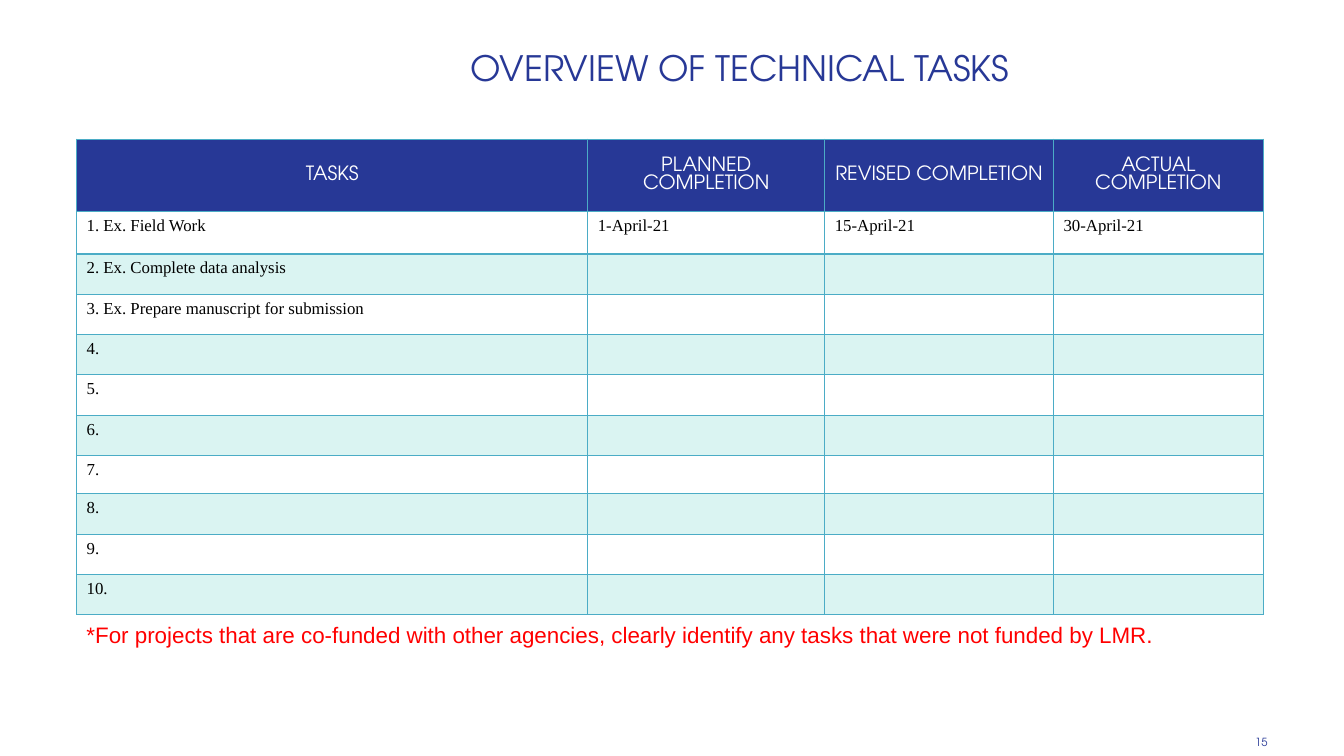
from lxml.etree import SubElement
from pptx import Presentation
from pptx.dml.color import RGBColor
from pptx.enum.text import MSO_ANCHOR as Anchor, PP_ALIGN as Align
from pptx.oxml.ns import qn
from pptx.util import Inches, Pt

COLORS = {"navy": "273896", "white": "FFFFFF", "band": "DAF4F2",
          "border": "4BACC6", "black": "000000", "red": "FF0000"}
HEADING_FONT = "TeX Gyre Adventor"
BODY_FONT = "Times New Roman"
HEADINGS = ["TASKS", "PLANNED COMPLETION", "REVISED COMPLETION", "ACTUAL COMPLETION"]
TASKS = ["Ex. Field Work", "Ex. Complete data analysis",
         "Ex. Prepare manuscript for submission"] + [""] * 7
FIRST_DATES = ["1-April-21", "15-April-21", "30-April-21"]
COLUMN_WIDTHS = [5.07, 2.35, 2.27, 2.08]
ROW_HEIGHTS = [0.72, 0.42] + [0.4] * 5 + [0.38] + [0.4] * 3


def rgb(name):
    """Return the named colour."""
    return RGBColor.from_string(COLORS[name])


def write(frame, text, font, size, color, align=Align.LEFT, anchor=Anchor.TOP):
    """Fill a text frame with one formatted paragraph."""
    frame.word_wrap = True
    frame.vertical_anchor = anchor
    paragraph = frame.paragraphs[0]
    paragraph.text = text
    paragraph.alignment = align
    for run in paragraph.runs:
        run.font.name = font
        run.font.size = Pt(size)
        run.font.color.rgb = rgb(color)


def add_title(slide, left, top, width, height):
    """Place the slide title."""
    title = slide.shapes.title
    title.left, title.top = Inches(left), Inches(top)
    title.width, title.height = Inches(width), Inches(height)
    write(title.text_frame, "OVERVIEW OF TECHNICAL TASKS", HEADING_FONT, 25,
          "navy", anchor=Anchor.MIDDLE)


def add_line(slide, left, top, width, height, *text_style, **layout):
    """Place one line of text in a box."""
    line = slide.shapes.add_textbox(Inches(left), Inches(top), Inches(width), Inches(height))
    write(line.text_frame, *text_style, **layout)


def style_cell(cell, fill):
    """Give a cell its borders and fill."""
    properties = cell._tc.get_or_add_tcPr()
    for side in ("lnL", "lnR", "lnT", "lnB"):
        border = SubElement(properties, qn(f"a:{side}"), w=str(Pt(1)))
        solid = SubElement(border, qn("a:solidFill"))
        SubElement(solid, qn("a:srgbClr"), val=COLORS["border"])
    cell.fill.solid()
    cell.fill.fore_color.rgb = rgb(fill)


def write_cell(cell, text, is_heading):
    """Write a heading or body cell."""
    paragraph = cell.text_frame.paragraphs[0]
    if is_heading:
        write(cell.text_frame, text, HEADING_FONT, 14, "white", Align.CENTER)
        cell.vertical_anchor = Anchor.MIDDLE
        paragraph.line_spacing = Pt(13)
    elif text:
        write(cell.text_frame, text, BODY_FONT, 12, "black")
    else:
        SubElement(paragraph._p, qn("a:endParaRPr"), sz="1200")


def add_task_table(slide, left, top):
    """Place the table of tasks and completion dates."""
    rows = [HEADINGS]
    for number, task in enumerate(TASKS, 1):
        dates = FIRST_DATES if number == 1 else [""] * 3
        rows.append([f"{number}. {task}".strip(), *dates])
    table = slide.shapes.add_table(
        len(rows), len(HEADINGS), Inches(left), Inches(top),
        Inches(sum(COLUMN_WIDTHS)), Inches(sum(ROW_HEIGHTS))).table
    for column, width in zip(table.columns, COLUMN_WIDTHS):
        column.width = Inches(width)
    for row, height in zip(table.rows, ROW_HEIGHTS):
        row.height = Inches(height)
    for row_index, texts in enumerate(rows):
        fill = "navy" if row_index == 0 else "white" if row_index % 2 else "band"
        for column_index, text in enumerate(texts):
            cell = table.cell(row_index, column_index)
            style_cell(cell, fill)
            write_cell(cell, text, row_index == 0)


def main():
    """Build and save the slide."""
    deck = Presentation()
    deck.slide_width, deck.slide_height = Inches(13.33), Inches(7.5)
    slide = deck.slides.add_slide(deck.slide_layouts[5])
    add_title(slide, 4.57, 0.29, 8.1, 0.75)
    add_line(slide, 0.67, 7.23, 12, 0.27, "15", HEADING_FONT, 8, "navy",
             align=Align.RIGHT, anchor=Anchor.MIDDLE)
    add_task_table(slide, 0.76, 1.38)
    add_line(slide, 0.76, 6.11, 11.77, 0.37,
             "*For projects that are co-funded with other agencies, clearly identify "
             "any tasks that were not funded by LMR.", "Arial", 16, "red")
    deck.save("out.pptx")


if __name__ == "__main__":
    main()
